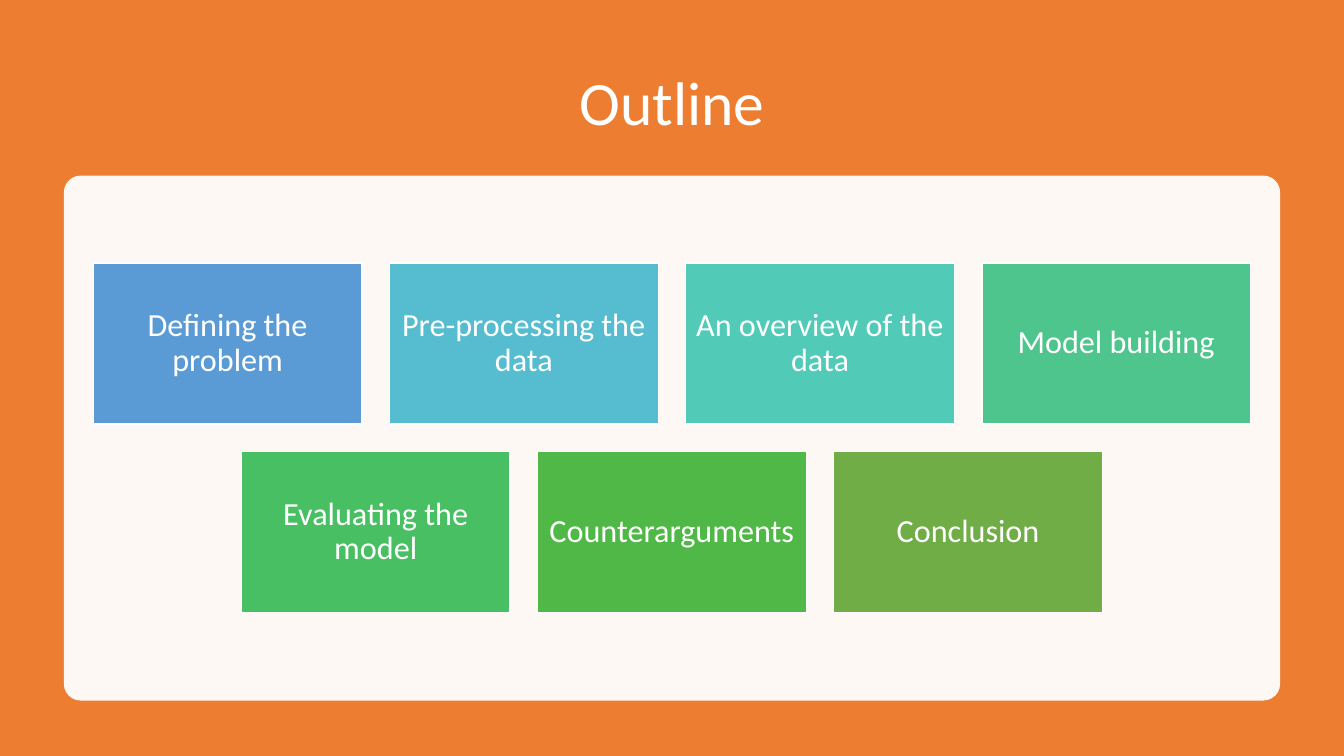
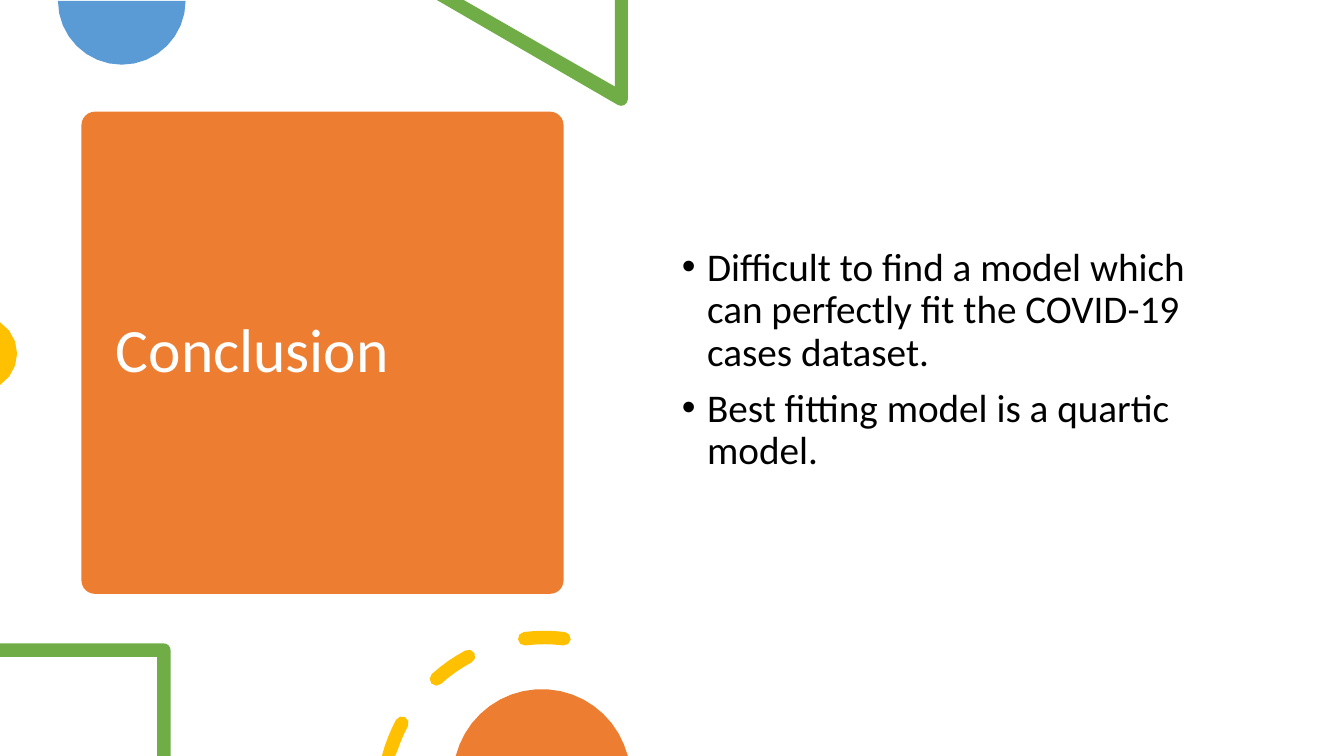
from dataclasses import dataclass
from math import cos, radians, sin

from lxml.etree import SubElement
from pptx import Presentation
from pptx.dml.color import RGBColor
from pptx.enum.shapes import MSO_SHAPE as Shape
from pptx.enum.text import MSO_ANCHOR as Anchor, PP_ALIGN as Align
from pptx.oxml.ns import qn
from pptx.util import Emu, Inches, Pt

COLS, ROWS = 160, 90
CELL = Inches(13.3333) / COLS
FONT = "Calibri"
ORANGE, BLUE, GREEN, GOLD = "ED7D31", "5B9BD5", "70AD47", "FFC000"
WHITE, BLACK = "FFFFFF", "000000"

Point = tuple[float, float]


@dataclass(frozen=True)
class Box:
    left: float
    top: float
    width: float
    height: float

    def emu(self) -> list[Emu]:
        return [grid(n) for n in (self.left, self.top, self.width, self.height)]


@dataclass(frozen=True)
class Card:
    text: str
    color: str


@dataclass(frozen=True)
class Outline:
    points: list[Point]
    color: str


def grid(cells: float) -> Emu:
    return Emu(round(cells * CELL))


def rgb(color: str) -> RGBColor:
    return RGBColor.from_string(color)


def paint(sp, color: str) -> None:
    sp.shadow.inherit = False
    sp.fill.solid()
    sp.fill.fore_color.rgb = rgb(color)
    sp.line.fill.background()


def add_block(s, kind: Shape, box: Box, color: str, corner: float = 0):
    sp = s.shapes.add_shape(kind, *box.emu())
    paint(sp, color)
    if corner:
        sp.adjustments[0] = corner
    return sp


def style_text(sp, size: float, color: str, align: Align) -> None:
    tf = sp.text_frame
    tf.word_wrap = True
    tf.vertical_anchor = Anchor.MIDDLE
    for p in tf.paragraphs:
        p.alignment = align
        p.line_spacing = 0.9
        for r in p.runs:
            r.font.name = FONT
            r.font.size = Pt(size)
            r.font.color.rgb = rgb(color)


def add_text(s, box: Box, text: str, size: float, color: str,
             align: Align = Align.LEFT):
    sp = s.shapes.add_textbox(*box.emu())
    sp.text_frame.text = text
    style_text(sp, size, color, align)
    return sp


def add_title(s, box: Box, text: str, align: Align = Align.LEFT) -> None:
    add_text(s, box, text, 44, WHITE, align)


def add_bullets(s, box: Box, items: list[str]) -> None:
    sp = add_text(s, box, "\n".join(items), 28, BLACK)
    for p in sp.text_frame.paragraphs:
        p.space_before = Pt(10)
        pPr = p._p.get_or_add_pPr()
        pPr.set("marL", str(Inches(0.25)))
        pPr.set("indent", str(-Inches(0.25)))
        SubElement(pPr, qn("a:buFont")).set("typeface", "Arial")
        SubElement(pPr, qn("a:buChar")).set("char", "•")


def set_alpha(sp, percent: int) -> None:
    color = sp._element.spPr.find(qn("a:solidFill")).find(qn("a:srgbClr"))
    SubElement(color, qn("a:alpha")).set("val", str(percent * 1000))


def add_cards(s, rows: list[list[Card]]) -> None:
    width, height, gap, top = 32, 19.2, 3.26, 31.3
    for i, row in enumerate(rows):
        left = (COLS - len(row) * (width + gap) + gap) / 2
        for j, card in enumerate(row):
            box = Box(left + j * (width + gap), top + i * (height + gap),
                      width, height)
            sp = add_block(s, Shape.RECTANGLE, box, card.color)
            sp.line.color.rgb = rgb(WHITE)
            sp.line.width = Pt(1)
            tf = sp.text_frame
            tf.margin_top = tf.margin_bottom = Inches(0.1)
            tf.text = card.text
            style_text(sp, 23, WHITE, Align.CENTER)


def polar(x: float, y: float, radius: float, angle: float) -> Point:
    return x + radius * cos(radians(angle)), y + radius * sin(radians(angle))


def arc(x: float, y: float, radius: float, start: float, end: float) -> list[Point]:
    sweep = end - start
    count = max(4, round(radius * radians(abs(sweep)) / 1.5))
    return [polar(x, y, radius, start + sweep * i / count)
            for i in range(count + 1)]


def dash(x: float, y: float, radius: float, start: float, end: float) -> list[Point]:
    half = 0.8
    return (arc(x, y, radius + half, start, end)
            + arc(*polar(x, y, radius, end), half, end, end + 180)
            + arc(x, y, radius - half, end, start)
            + arc(*polar(x, y, radius, start), half, start + 180, start + 360))


def add_outline(s, outline: Outline) -> None:
    points = [(grid(min(max(x, 0), COLS)), grid(min(max(y, 0), ROWS)))
              for x, y in outline.points]
    builder = s.shapes.build_freeform(*points[0])
    builder.add_line_segments(points[1:], close=True)
    paint(builder.convert_to_shape(), outline.color)


def outline_slide(prs) -> None:
    s = prs.slides.add_slide(prs.slide_layouts[6])
    add_block(s, Shape.RECTANGLE, Box(0, 0, COLS, ROWS), ORANGE)
    add_title(s, Box(11, 6, 138, 13.2), "Outline", Align.CENTER)
    panel = add_block(s, Shape.ROUNDED_RECTANGLE,
                      Box(7.6, 20.9, 144.8, 62.5), WHITE, 0.032)
    set_alpha(panel, 95)
    add_cards(s, [
        [Card("Defining the problem", BLUE),
         Card("Pre-processing the data", "56BCD0"),
         Card("An overview of the data", "52CAB8"),
         Card("Model building", "4DC58D")],
        [Card("Evaluating the model", "49BF64"),
         Card("Counterarguments", "50B846"),
         Card("Conclusion", GREEN)],
    ])


def conclusion_slide(prs) -> None:
    s = prs.slides.add_slide(prs.slide_layouts[6])
    add_block(s, Shape.ROUNDED_RECTANGLE,
              Box(9.7, 13.3, 57.4, 57.4), ORANGE, 0.028)
    add_title(s, Box(12.6, 14.6, 51.7, 54.7), "Conclusion")
    add_bullets(s, Box(80, 10.8, 69, 64.2), [
        "Difficult to find a model which can perfectly fit the COVID-19 "
        "cases dataset.",
        "Best fitting model is a quartic model.",
    ])

    triangle = [(74.75, 0), (73.2, 0), (73.2, 10.3), (55.2, 0), (52, 0),
                *arc(73.95, 11.8, 0.8, 120, 0)]
    square = [(0, 76.6), *arc(19.5, 77.4, 0.8, -90, 0),
              (20.3, 90), (18.7, 90), (18.7, 78.2), (0, 78.2)]
    dashes = [(195, 208), (228, 242), (263, 277)]
    outlines = [
        Outline(arc(14.5, 0.1, 7.6, 0, 180), BLUE),
        Outline(triangle, GREEN),
        Outline(arc(-2.4, 42.1, 4.44, -57, 57), GOLD),
        Outline(square, GREEN),
        *(Outline(dash(64.8, 95.1, 19.2, *span), GOLD) for span in dashes),
        Outline(arc(64.5, 92.6, 10.56, -166, -14), ORANGE),
    ]
    for outline in outlines:
        add_outline(s, outline)


def main() -> None:
    prs = Presentation()
    prs.slide_width, prs.slide_height = grid(COLS), grid(ROWS)
    outline_slide(prs)
    conclusion_slide(prs)
    prs.save("out.pptx")


main()
